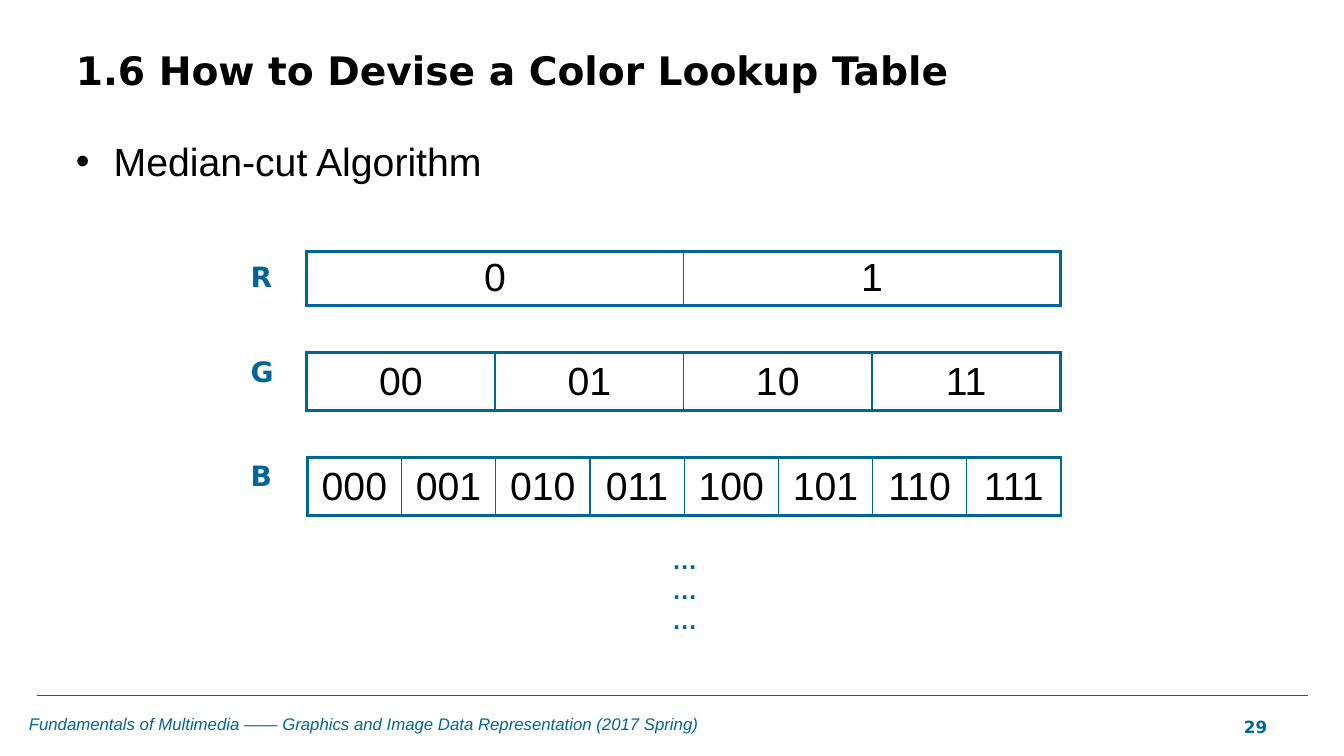
from lxml.etree import SubElement
from pptx import Presentation
from pptx.dml.color import RGBColor
from pptx.enum.shapes import MSO_CONNECTOR
from pptx.enum.text import MSO_ANCHOR, MSO_AUTO_SIZE, PP_ALIGN
from pptx.oxml.ns import qn
from pptx.util import Pt

BLUE, BLACK, WHITE = "006699", "000000", "FFFFFF"


def style(paragraph, size, color, name="Arial", bold=False, italic=False):
    font = paragraph.font
    font.size, font.name, font.bold, font.italic = Pt(size), name, bold, italic
    font.color.rgb = RGBColor.from_string(color)


def add_text(lines, left, top, width, height, size, wrap=False, **look):
    box = slide.shapes.add_textbox(Pt(left), Pt(top), Pt(width), Pt(height))
    frame = box.text_frame
    frame.word_wrap = wrap
    frame.text = "\n".join(lines)
    for paragraph in frame.paragraphs:
        style(paragraph, size, BLUE, **look)


presentation = Presentation()
presentation.slide_width, presentation.slide_height = Pt(960), Pt(540)
slide = presentation.slides.add_slide(presentation.slide_layouts[1])

# Title and bullet
title, body = slide.placeholders
for shape, text, left, top, width, height, anchor in (
    (title, "1.6 How to Devise a Color Lookup Table", 47, 8, 865, 63, MSO_ANCHOR.BOTTOM),
    (body, "Median-cut Algorithm", 47, 94.5, 424, 374, MSO_ANCHOR.TOP),
):
    shape.left, shape.top, shape.width, shape.height = Pt(left), Pt(top), Pt(width), Pt(height)
    frame = shape.text_frame
    frame.text = text
    frame.auto_size = MSO_AUTO_SIZE.NONE
    frame.vertical_anchor = anchor
    frame.paragraphs[0].alignment = PP_ALIGN.LEFT
    frame.paragraphs[0].space_before = Pt(0)

title_paragraph = title.text_frame.paragraphs[0]
title_paragraph.line_spacing = 0.9
style(title_paragraph, 28, BLACK, "DejaVu Sans", bold=True)

bullet_paragraph = body.text_frame.paragraphs[0]
properties = bullet_paragraph._p.get_or_add_pPr()
properties.set("marL", str(Pt(27)))
properties.set("indent", str(Pt(-27)))
SubElement(properties, qn("a:buFont"), typeface="Arial")
SubElement(properties, qn("a:buChar"), char="•")
style(bullet_paragraph, 28, BLACK)

# One table per channel, with the cell count doubling each time
channels = (
    ("R", 182, 219, 179.5, 38.5),
    ("G", 250, 219, 252, 41),
    ("B", 324, 219.5, 327, 41),
)
for bits, (channel, label_top, left, top, height) in enumerate(channels, start=1):
    count = 2 ** bits
    frame = slide.shapes.add_table(1, count, Pt(left), Pt(top), Pt(538.5), Pt(height))
    table = frame.table
    table.first_row = table.horz_banding = False
    for index in range(count):
        table.columns[index].width = Pt(538.5 / count)
        cell = table.cell(0, index)
        cell.text = f"{index:0{bits}b}"
        cell.vertical_anchor = MSO_ANCHOR.MIDDLE
        cell.margin_top = cell.margin_bottom = Pt(2)
        paragraph = cell.text_frame.paragraphs[0]
        paragraph.alignment = PP_ALIGN.CENTER
        style(paragraph, 28, BLACK)

        # Thick outer border, thin dividers
        borders = {
            "a:lnL": 2.25 if index == 0 else 1,
            "a:lnR": 2.25 if index == count - 1 else 1,
            "a:lnT": 2.25,
            "a:lnB": 2.25,
        }
        cell_properties = cell._tc.get_or_add_tcPr()
        for tag, width in borders.items():
            border = SubElement(cell_properties, qn(tag), w=str(Pt(width)))
            SubElement(SubElement(border, qn("a:solidFill")), qn("a:srgbClr"), val=BLUE)
        cell.fill.solid()
        cell.fill.fore_color.rgb = RGBColor.from_string(WHITE)
    add_text([channel], 172, label_top, 30, 31, 20, name="DejaVu Sans", bold=True)

# Continuation dots
add_text(["…"] * 3, 473, 385, 32, 72, 18, bold=True)

# Footer
rule = slide.shapes.add_connector(MSO_CONNECTOR.STRAIGHT, Pt(26.5), Pt(497), Pt(934), Pt(497))
rule.line.color.rgb = RGBColor.from_string(BLUE)
rule.line.width = Pt(0.75)
SubElement(rule._element.spPr, qn("a:effectLst"))
add_text(["Fundamentals of Multimedia —— Graphics and Image Data Representation (2017 Spring)"],
         13.5, 506, 829, 22, 12, wrap=True, italic=True)
add_text(["29"], 881.5, 508.5, 38, 21.5, 12, name="DejaVu Sans", bold=True)

presentation.save("out.pptx")
